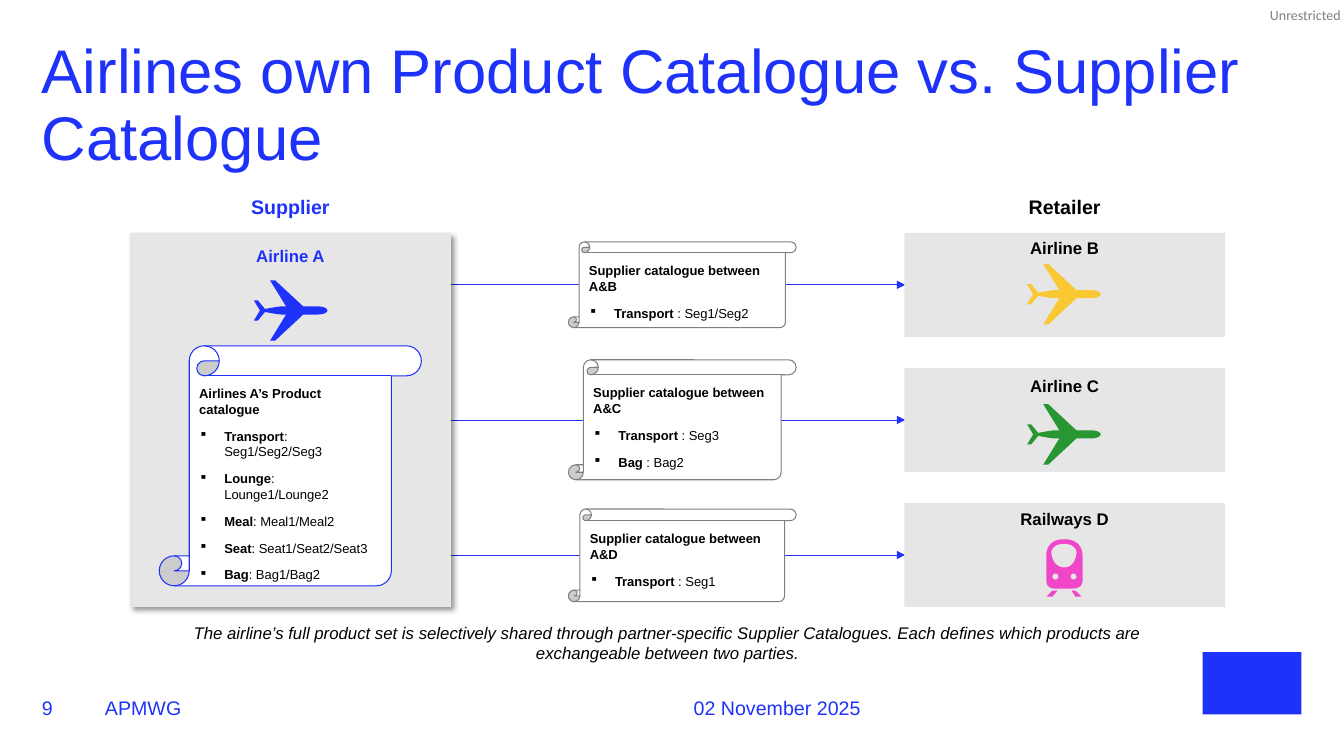
import math

import pptx
import pptx.dml.color
import pptx.enum.shapes
import pptx.enum.text
import pptx.oxml
import pptx.oxml.ns
import pptx.util
from lxml import etree

Pt = pptx.util.Pt
SHAPES = pptx.enum.shapes.MSO_SHAPE
ALIGN = pptx.enum.text.PP_ALIGN
ANCHOR = pptx.enum.text.MSO_ANCHOR
qn = pptx.oxml.ns.qn

# Content
BLUE, BLACK, GREY, PANEL, WHITE = "1E32FA", "000000", "808080", "E6E6E6", "FFFFFF"
TITLE = "Airlines own Product Catalogue vs. Supplier Catalogue"
CAPTION = ("The airline’s full product set is selectively shared through partner-specific "
           "Supplier Catalogues. Each defines which products are exchangeable between two parties.")
OWN_CATALOGUE = ("Airlines A’s Product catalogue", [
    ("Transport", ": Seg1/Seg2/Seg3"), ("Lounge", ": Lounge1/Lounge2"),
    ("Meal", ": Meal1/Meal2"), ("Seat", ": Seat1/Seat2/Seat3"), ("Bag", ": Bag1/Bag2")])
FOOTER = [("9", 30, 36), ("APMWG", 75, 390), ("02 November 2025", 495.5, 216)]

# Icon outlines in hundredths of an inch: pairs are corners, sextuples are Bézier curves
PLANE_HALF = [(73, 30), (73, 28, 69, 26, 64, 26), (49, 26), (21, 0), (16, 0), (32, 26),
              (27, 26), (24, 26, 14, 28, 11, 28.5), (4, 20), (0, 20), (6, 30)]
TRAIN_BODY = [(18, 0), (7, 0, 0, 5, 0, 17), (0, 41), (0, 46, 3, 49, 9, 49), (26, 49),
              (32, 49, 36, 46, 36, 41), (36, 17), (36, 5, 28, 0, 18, 0)]
TRAIN_WINDOW = [(18, 28), (8, 28, 5, 18, 5, 13), (5, 10, 7, 8, 10, 6), (15, 4, 20, 4, 25, 6),
                (28, 8, 30, 10, 30, 13), (30, 18, 27, 28, 18, 28)]
TRAIN_RAILS = [[(0, 57), (6, 57), (11, 51), (6, 51)], [(25, 51), (29, 57), (35, 57), (29, 51)]]


def flatten(outline):
    """Turn corners and curves into a list of points."""
    points = []
    for step in outline:
        if len(step) == 2:
            points.append(step)
            continue
        x0, y0 = points[-1]
        x1, y1, x2, y2, x3, y3 = step
        for i in range(1, 13):
            t = i / 12
            a, b, c, d = (1 - t) ** 3, 3 * t * (1 - t) ** 2, 3 * t * t * (1 - t), t ** 3
            points.append((a * x0 + b * x1 + c * x2 + d * x3,
                           a * y0 + b * y1 + c * y2 + d * y3))
    return points


def ring(x, y, radius):
    angles = [math.tau * i / 24 for i in range(24)]
    return [(x + radius * math.cos(angle), y + radius * math.sin(angle)) for angle in angles]


upper = flatten(PLANE_HALF)
PLANE = [upper + [(x, 60 - y) for x, y in reversed(upper[1:-1])]]
TRAIN = [flatten(TRAIN_BODY), flatten(TRAIN_WINDOW), ring(9, 37, 3), ring(27, 37, 3)] + TRAIN_RAILS

# Partner, name top, icon, icon colour, icon left and top, line start, scroll top and height, heading, items
PARTNERS = [
    ("Airline B", 169.9, PLANE, "FAC832", 733.7, 188.6, 313, 172.8, 61.2,
     "Supplier catalogue between A&B", [("Transport", " : Seg1/Seg2")]),
    ("Airline C", 268.6, PLANE, "289632", 733.7, 288.7, 301, 257, 85.7,
     "Supplier catalogue between A&C", [("Transport", " : Seg3"), ("Bag", " : Bag2")]),
    ("Railways D", 363.6, TRAIN, "F046C8", 747.4, 385.2, 308, 363.6, 66.2,
     "Supplier catalogue between A&D", [("Transport", " : Seg1")]),
]

# Layout
SUPPLIER_LEFT, RETAILER_LEFT, PANEL_WIDTH = 93, 646, 229
ROW_TOP, ROW_HEIGHT, ROW_PITCH = 166.3, 74.3, 96.5
SCROLL_LEFT, SCROLL_WIDTH = 406, 162.7

presentation = pptx.Presentation()
presentation.slide_width, presentation.slide_height = Pt(960), Pt(540)
slide = presentation.slides.add_slide(presentation.slide_layouts[6])


def color(value):
    return pptx.dml.color.RGBColor.from_string(value)


def style_run(run, size, value, bold=False, italic=False, font="Arial"):
    run.font.size, run.font.name = Pt(size), font
    run.font.bold, run.font.italic = bold, italic
    run.font.color.rgb = color(value)


def paint(shape, fill, line=None):
    shape.shadow.inherit = False
    shape.fill.solid()
    shape.fill.fore_color.rgb = color(fill)
    if line:
        shape.line.color.rgb = color(line)
        shape.line.width = Pt(0.75)
    else:
        shape.line.fill.background()


def add_box(kind, left, top, width, height, fill, line=None):
    shape = slide.shapes.add_shape(kind, Pt(left), Pt(top), Pt(width), Pt(height))
    paint(shape, fill, line)
    return shape


def set_insets(frame, horizontal, vertical):
    frame.margin_left = frame.margin_right = Pt(horizontal)
    frame.margin_top = frame.margin_bottom = Pt(vertical)


def add_text(text, left, top, width, height, size, value, align=ALIGN.LEFT,
             anchor=ANCHOR.TOP, wrap=True, insets=(0, 0), spacing=None, **style):
    frame = slide.shapes.add_textbox(Pt(left), Pt(top), Pt(width), Pt(height)).text_frame
    set_insets(frame, *insets)
    frame.word_wrap, frame.vertical_anchor = wrap, anchor
    frame.text = text
    paragraph = frame.paragraphs[0]
    paragraph.alignment = align
    if spacing:
        paragraph.line_spacing = spacing
    style_run(paragraph.runs[0], size, value, **style)


def add_label(text, center, top, size, value):
    add_text(text, center - 40, top, 80, size * 1.2, size, value, ALIGN.CENTER,
             wrap=False, bold=True)


def add_scroll(left, top, width, height, line, heading, items):
    frame = add_box(SHAPES.VERTICAL_SCROLL, left, top, width, height, WHITE, line).text_frame
    set_insets(frame, 7.2, 7.2)
    frame.word_wrap, frame.vertical_anchor = True, ANCHOR.TOP
    frame.text = heading
    frame.paragraphs[0].alignment = ALIGN.LEFT
    style_run(frame.paragraphs[0].runs[0], 9.3, BLACK, bold=True)
    for name, detail in items:
        paragraph = frame.add_paragraph()
        properties = paragraph._p.get_or_add_pPr()
        properties.set("marL", str(Pt(18)))
        properties.set("indent", str(-Pt(18)))
        etree.SubElement(properties, qn("a:buSzPct"), val="90000")
        etree.SubElement(properties, qn("a:buChar"), char="▪")
        paragraph.space_before, paragraph.alignment = Pt(8), ALIGN.LEFT
        for text, bold in ((name, True), (detail, False)):
            run = paragraph.add_run()
            run.text = text
            style_run(run, 9.3, BLACK, bold)


def add_icon(contours, left, top, fill):
    unit = Pt(0.72)
    contours = [[(x * unit, y * unit) for x, y in contour] for contour in contours]
    builder = slide.shapes.build_freeform(*contours[0][0])
    builder.add_line_segments(contours[0][1:])
    for contour in contours[1:]:
        builder.move_to(*contour[0])
        builder.add_line_segments(contour[1:])
    paint(builder.convert_to_shape(Pt(left), Pt(top)), fill)


def add_arrow(start, end, y):
    connector = slide.shapes.add_connector(
        pptx.enum.shapes.MSO_CONNECTOR.STRAIGHT, Pt(start), Pt(y), Pt(end), Pt(y))
    connector.line.color.rgb = color(BLUE)
    connector.line.width = Pt(0.5)
    properties = connector.element.spPr
    etree.SubElement(properties.find(qn("a:ln")), qn("a:tailEnd"), type="triangle")
    etree.SubElement(properties, qn("a:effectLst"))


# Marking and emblem placeholder
add_text("Unrestricted", 904.3, 5, 53.3, 12.2, 10, GREY, ALIGN.RIGHT, wrap=False, font="Calibri")
add_box(SHAPES.RECTANGLE, 859, 465.8, 70.6, 44.6, BLUE)

# Partner rows
retailer_center = RETAILER_LEFT + PANEL_WIDTH / 2
for row, (name, name_top, icon, icon_color, icon_left, icon_top, line_start,
          scroll_top, scroll_height, heading, items) in enumerate(PARTNERS):
    top = ROW_TOP + row * ROW_PITCH
    add_arrow(line_start, RETAILER_LEFT + 0.6, top + ROW_HEIGHT / 2)
    add_scroll(SCROLL_LEFT, scroll_top, SCROLL_WIDTH, scroll_height, GREY, heading, items)
    add_box(SHAPES.RECTANGLE, RETAILER_LEFT, top, PANEL_WIDTH, ROW_HEIGHT, PANEL)
    add_label(name, retailer_center, name_top, 12, BLACK)
    add_icon(icon, icon_left, icon_top, icon_color)

# Title and footer
add_text(TITLE, 30, 28.8, 900, 48.2, 44, BLUE, spacing=0.9)
for text, left, width in FOOTER:
    add_text(text, left, 485.3, width, 28.8, 14, BLUE, anchor=ANCHOR.BOTTOM)

# Supplier panel
supplier_center = SUPPLIER_LEFT + PANEL_WIDTH / 2
panel = add_box(SHAPES.RECTANGLE, SUPPLIER_LEFT, ROW_TOP, PANEL_WIDTH,
                2 * ROW_PITCH + ROW_HEIGHT, PANEL)
shadow = etree.SubElement(panel.element.spPr.find(qn("a:effectLst")), qn("a:outerShdw"),
                          blurRad=str(Pt(4)), dist=str(Pt(3)), dir="2700000", algn="tl")
shade = etree.SubElement(shadow, qn("a:srgbClr"), val=BLACK)
etree.SubElement(shade, qn("a:alpha"), val="40000")
add_label("Airline A", supplier_center, 175.7, 12, BLUE)
add_scroll(113.8, 247, 187.2, 171.4, BLUE, *OWN_CATALOGUE)
add_icon(PLANE, 181.4, 200.2, BLUE)

# Column headings and caption
add_label("Supplier", supplier_center, 139, 14, BLUE)
add_label("Retailer", retailer_center, 139, 14, BLACK)
add_text(CAPTION, 127.4, 441.4, 699, 36, 12, BLACK, ALIGN.CENTER, insets=(7.2, 3.6), italic=True)

presentation.save("out.pptx")
